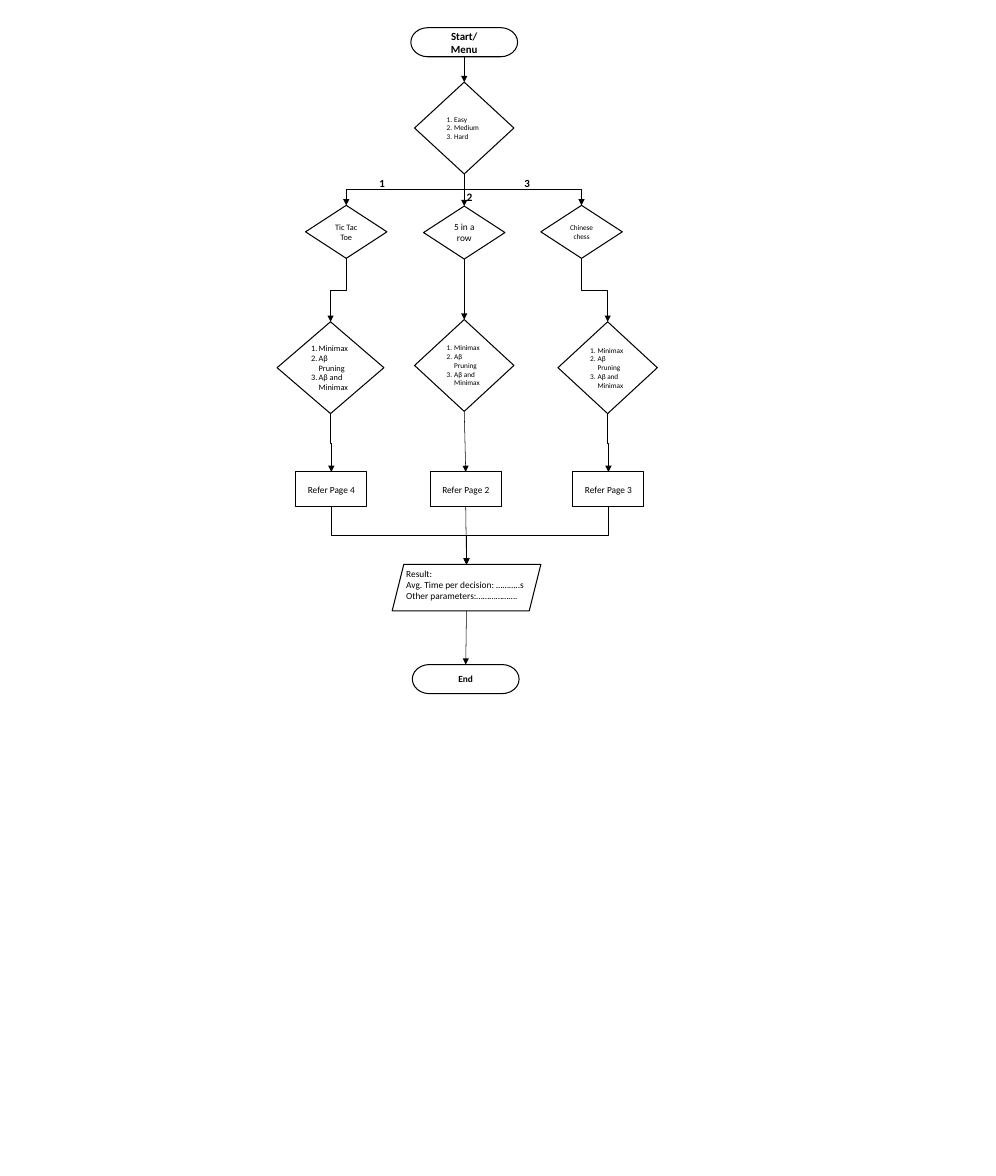
"""Build a one-page flowchart of a game menu, its algorithms and its result."""
from dataclasses import dataclass

from lxml import etree
from pptx import Presentation
from pptx.dml.color import RGBColor
from pptx.enum.shapes import MSO_CONNECTOR, MSO_SHAPE
from pptx.enum.text import MSO_ANCHOR, PP_ALIGN
from pptx.oxml.ns import qn
from pptx.util import Inches, Pt

TERMINATOR = MSO_SHAPE.FLOWCHART_TERMINATOR
DECISION = MSO_SHAPE.FLOWCHART_DECISION
PROCESS = MSO_SHAPE.RECTANGLE
DATA = MSO_SHAPE.PARALLELOGRAM
STRAIGHT, ELBOW = MSO_CONNECTOR.STRAIGHT, MSO_CONNECTOR.ELBOW
CENTER, LEFT, MIDDLE = PP_ALIGN.CENTER, PP_ALIGN.LEFT, MSO_ANCHOR.MIDDLE


@dataclass(frozen=True)
class Theme:
    """Colours, type sizes and line widths of the flowchart."""
    ink: RGBColor = RGBColor(0, 0, 0)
    font: str = "Calibri"
    tiny: float = 7
    small: float = 8
    normal: float = 9
    heading: float = 10.5
    label: float = 11
    outline: float = 1
    arrow: float = 0.5
    indent: float = 0.1


THEME = Theme()
LEVELS = ["Easy", "Medium", "Hard"]
ALGORITHMS = ["Minimax", "Αβ Pruning", "Αβ and Minimax"]
RESULT = ["Result:", "Avg. Time per decision: ………..s", "Other parameters:………………."]

# kind: (shape, width, height)
KINDS = {
    "end": (TERMINATOR, 1.43, 0.39),
    "menu": (DECISION, 1.33, 1.23),
    "wide menu": (DECISION, 1.43, 1.23),
    "game": (DECISION, 1.09, 0.71),
    "page": (PROCESS, 0.95, 0.47),
    "result": (DATA, 1.99, 0.62),
}
# name: (kind, left, top, lines, size)
NODES = {
    "start": ("end", 5.5, 0.37, ["Start/", "Menu"], THEME.heading),
    "level": ("menu", 5.55, 1.1, LEVELS, THEME.tiny),
    "five in a row": ("game", 5.67, 2.76, ["5 in a row"], THEME.normal),
    "tic tac toe": ("game", 4.09, 2.75, ["Tic Tac Toe"], THEME.small),
    "chinese chess": ("game", 7.24, 2.75, ["Chinese chess"], THEME.tiny),
    "five algorithm": ("menu", 5.55, 4.28, ALGORITHMS, THEME.tiny),
    "chess algorithm": ("menu", 7.47, 4.31, ALGORITHMS, THEME.tiny),
    "tic algorithm": ("wide menu", 3.71, 4.31, ALGORITHMS, THEME.small),
    "page 3": ("page", 7.67, 6.32, ["Refer Page 3"], THEME.normal),
    "page 2": ("page", 5.76, 6.32, ["Refer Page 2"], THEME.normal),
    "page 4": ("page", 3.96, 6.32, ["Refer Page 4"], THEME.normal),
    "result": ("result", 5.25, 7.56, [], THEME.normal),
    "end": ("end", 5.52, 8.9, ["End"], THEME.normal),
}
FLOWS = {
    STRAIGHT: [("start", "level"), ("level", "five in a row"),
               ("five in a row", "five algorithm"), ("five algorithm", "page 2"),
               ("page 2", "result"), ("result", "end")],
    ELBOW: [("level", "tic tac toe"), ("level", "chinese chess"),
            ("tic tac toe", "tic algorithm"), ("chinese chess", "chess algorithm"),
            ("tic algorithm", "page 4"), ("chess algorithm", "page 3"),
            ("page 4", "result"), ("page 3", "result")],
}
# left, top, width, height, lines, size, bold
CAPTIONS = [
    (5.34, 7.56, 3.57, 0.56, RESULT, THEME.normal, False),
    (4.98, 2.32, 0.32, 0.29, ["1"], THEME.heading, True),
    (6.15, 2.5, 0.33, 0.29, ["2"], THEME.label, True),
    (6.92, 2.32, 0.28, 0.29, ["3"], THEME.heading, True),
]


def write(box, lines, size, bold=False, align=LEFT, numbered=False):
    """Fill a shape with paragraphs, numbered if asked."""
    frame = box.text_frame
    frame.word_wrap = True
    frame.text = "\n".join(lines)
    for para in frame.paragraphs:
        para.alignment = align
        if numbered:
            properties = para._p.get_or_add_pPr()
            properties.set("marL", str(Inches(THEME.indent)))
            properties.set("indent", str(-Inches(THEME.indent)))
            etree.SubElement(properties, qn("a:buAutoNum"), type="arabicPeriod")
        for span in para.runs:
            span.font.name = THEME.font
            span.font.size = Pt(size)
            span.font.bold = bold
            span.font.color.rgb = THEME.ink


def add_node(page, kind, left, top, lines, size):
    """Draw one outlined step of the flowchart."""
    outline, width, height = KINDS[kind]
    box = page.shapes.add_shape(outline, *map(Inches, (left, top, width, height)))
    box.shadow.inherit = False
    box.fill.background()
    box.line.color.rgb = THEME.ink
    box.line.width = Pt(THEME.outline)
    if lines:
        numbered = kind.endswith("menu")
        box.text_frame.vertical_anchor = MIDDLE
        write(box, lines, size, kind == "end", LEFT if numbered else CENTER, numbered)
    return box


def add_flow(page, route, source, target):
    """Draw an arrow from the bottom of one step to the top of the next."""
    start_x, start_y = source.left + source.width // 2, source.top + source.height
    end_x, end_y = target.left + target.width // 2, target.top
    arrow = page.shapes.add_connector(route, start_x, start_y, end_x, end_y)
    if route == ELBOW:
        turn_downwards(arrow, end_x > start_x)
    arrow.line.color.rgb = THEME.ink
    arrow.line.width = Pt(THEME.arrow)
    etree.SubElement(arrow.line._get_or_add_ln(), qn("a:tailEnd"), type="triangle")
    etree.SubElement(arrow._element.spPr, qn("a:effectLst"))


def turn_downwards(arrow, rightward):
    """Rotate an elbow so that it leaves and arrives vertically."""
    across, down = arrow.width, arrow.height
    arrow.left += (across - down) // 2
    arrow.top += (down - across) // 2
    arrow.width, arrow.height = down, across
    frame = arrow._element.spPr.find(qn("a:xfrm"))
    frame.set("rot", str((270 if rightward else 90) * 60000))
    frame.set("flipH", "1" if rightward else "0")


deck = Presentation()
deck.slide_width, deck.slide_height = Inches(40 / 3), Inches(15.75)
page = deck.slides.add_slide(deck.slide_layouts[6])
steps = {name: add_node(page, *node) for name, node in NODES.items()}
for route, pairs in FLOWS.items():
    for source, target in pairs:
        add_flow(page, route, steps[source], steps[target])
for *place, lines, size, bold in CAPTIONS:
    caption = page.shapes.add_textbox(*map(Inches, place))
    write(caption, lines, size, bold)
deck.save("out.pptx")
